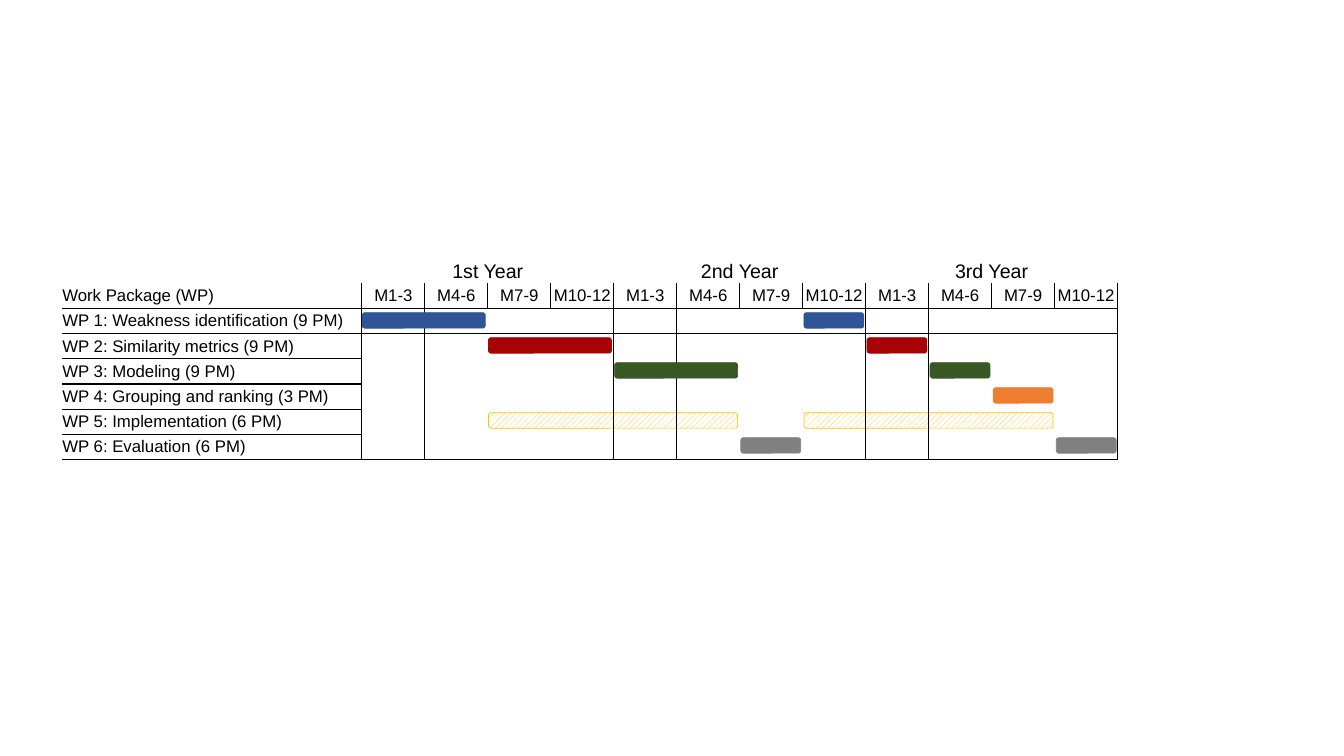
from lxml import etree
from pptx import Presentation
from pptx import util as u
from pptx.dml.color import RGBColor
from pptx.enum import dml, shapes, text
from pptx.oxml.ns import qn

COLORS = {
    "black": "000000", "white": "FFFFFF", "blue": "2F5597", "red": "A70304",
    "green": "385723", "orange": "ED7D31", "amber": "FFC000", "gray": "808080",
}
FONT = "Arial"
PLAIN_TABLE_STYLE = "{2D5ABB26-0587-4C30-8999-92F81FD0307C}"

YEARS = ["1st Year", "2nd Year", "3rd Year"]
QUARTERS = ["M1-3", "M4-6", "M7-9", "M10-12"]
PACKAGES = [
    "WP 1: Weakness identification (9 PM)",
    "WP 2: Similarity metrics (9 PM)",
    "WP 3: Modeling (9 PM)",
    "WP 4: Grouping and ranking (3 PM)",
    "WP 5: Implementation (6 PM)",
    "WP 6: Evaluation (6 PM)",
]
ROWS = 2 + len(PACKAGES)
QUARTER_COUNT = len(YEARS) * len(QUARTERS)

# Work package index, first quarter, number of quarters, color
HATCHED_BARS = [(4, 2, 4, "amber"), (4, 7, 4, "amber")]
SOLID_BARS = [
    (0, 0, 2, "blue"), (0, 7, 1, "blue"),
    (1, 2, 2, "red"), (1, 8, 1, "red"),
    (2, 4, 2, "green"), (2, 9, 1, "green"),
    (3, 10, 1, "orange"),
    (5, 6, 1, "gray"), (5, 11, 1, "gray"),
]


def rgb(name):
    return RGBColor.from_string(COLORS[name])


def add_bar(slide, package, start, length, color, hatched=False):
    bar = slide.shapes.add_shape(
        shapes.MSO_SHAPE.ROUNDED_RECTANGLE,
        u.Cm(9.13 + 1.59 * start), u.Cm(7.88 + 0.63 * package),
        u.Cm(1.59 * length - 0.08), u.Cm(0.39))
    bar.shadow.inherit = False
    if hatched:
        bar.fill.patterned()
        bar.fill.pattern = dml.MSO_PATTERN.WIDE_UPWARD_DIAGONAL
        bar.fill.fore_color.rgb = rgb(color)
        bar.fill.back_color.rgb = rgb("white")
    else:
        bar.fill.solid()
        bar.fill.fore_color.rgb = rgb(color)
    bar.line.color.rgb = rgb(color)
    bar.line.width = u.Pt(0.5)


def border_sides(row, column):
    """Sides of a cell that carry a rule, in the order left, right, top, bottom."""
    if row == 0:
        return ""
    if row == 1:
        return "RB" if column == 0 else "LRB"
    if column == 0:
        return "RTB"
    place = column % len(QUARTERS)
    return (("L" if place in (1, 2) else "") + ("R" if place in (0, 1) else "")
            + ("T" if row in (2, 3) else "") + ("B" if row in (2, ROWS - 1) else ""))


def set_borders(cell, sides):
    properties = cell._tc.get_or_add_tcPr()
    for index, side in enumerate("LRTB"):
        line = etree.Element(qn("a:ln" + side), w=str(u.Pt(1)))
        if side in sides:
            fill = etree.SubElement(line, qn("a:solidFill"))
            etree.SubElement(fill, qn("a:srgbClr"), val=COLORS["black"])
        else:
            etree.SubElement(line, qn("a:noFill"))
        properties.insert(index, line)


def prepare_cell(cell, row, column):
    cell.margin_left = cell.margin_right = cell.margin_top = cell.margin_bottom = 0
    cell.vertical_anchor = text.MSO_ANCHOR.MIDDLE
    cell.fill.background()
    set_borders(cell, border_sides(row, column))
    # Keeps empty cells from stretching their row
    etree.SubElement(cell.text_frame.paragraphs[0]._p, qn("a:endParaRPr"), sz="1200")


def write_cell(cell, content, size=12, centered=True):
    para = cell.text_frame.paragraphs[0]
    para.alignment = text.PP_ALIGN.CENTER if centered else text.PP_ALIGN.LEFT
    span = para.add_run()
    span.text = content
    span.font.name = FONT
    span.font.size = u.Pt(size)
    span.font.color.rgb = rgb("black")


def add_schedule(slide):
    label_width, quarters_width, height = u.Cm(7.55), u.Cm(19.05), u.Cm(5.08)
    frame = slide.shapes.add_table(
        ROWS, 1 + QUARTER_COUNT, u.Cm(1.57), u.Cm(6.5),
        label_width + quarters_width, height)
    table = frame.table
    table.first_row = table.horz_banding = False
    table._tbl.tblPr.find(qn("a:tableStyleId")).text = PLAIN_TABLE_STYLE

    # Grid
    for index, column in enumerate(table.columns):
        column.width = label_width if index == 0 else quarters_width // QUARTER_COUNT
    for row_index, row in enumerate(table.rows):
        row.height = height // ROWS
        for column_index, cell in enumerate(row.cells):
            prepare_cell(cell, row_index, column_index)

    # Years and quarters
    for index, year in enumerate(YEARS):
        first = 1 + index * len(QUARTERS)
        heading = table.cell(0, first)
        heading.merge(table.cell(0, first + len(QUARTERS) - 1))
        heading.vertical_anchor = text.MSO_ANCHOR.BOTTOM
        write_cell(heading, year, size=14)
        for offset, quarter in enumerate(QUARTERS):
            write_cell(table.cell(1, first + offset), quarter)

    # Work packages
    for row_index, label in enumerate(["Work Package (WP)"] + PACKAGES, start=1):
        write_cell(table.cell(row_index, 0), label, centered=False)
    table.cell(4, 10).merge(table.cell(4, 11))


def main():
    deck = Presentation()
    deck.slide_width, deck.slide_height = u.Cm(33.87), u.Cm(19.05)
    page = deck.slides.add_slide(deck.slide_layouts[6])

    # Hatched bars lie behind the table, solid bars in front
    for bar in HATCHED_BARS:
        add_bar(page, *bar, hatched=True)
    add_schedule(page)
    for bar in SOLID_BARS:
        add_bar(page, *bar)

    deck.save("out.pptx")


if __name__ == "__main__":
    main()
